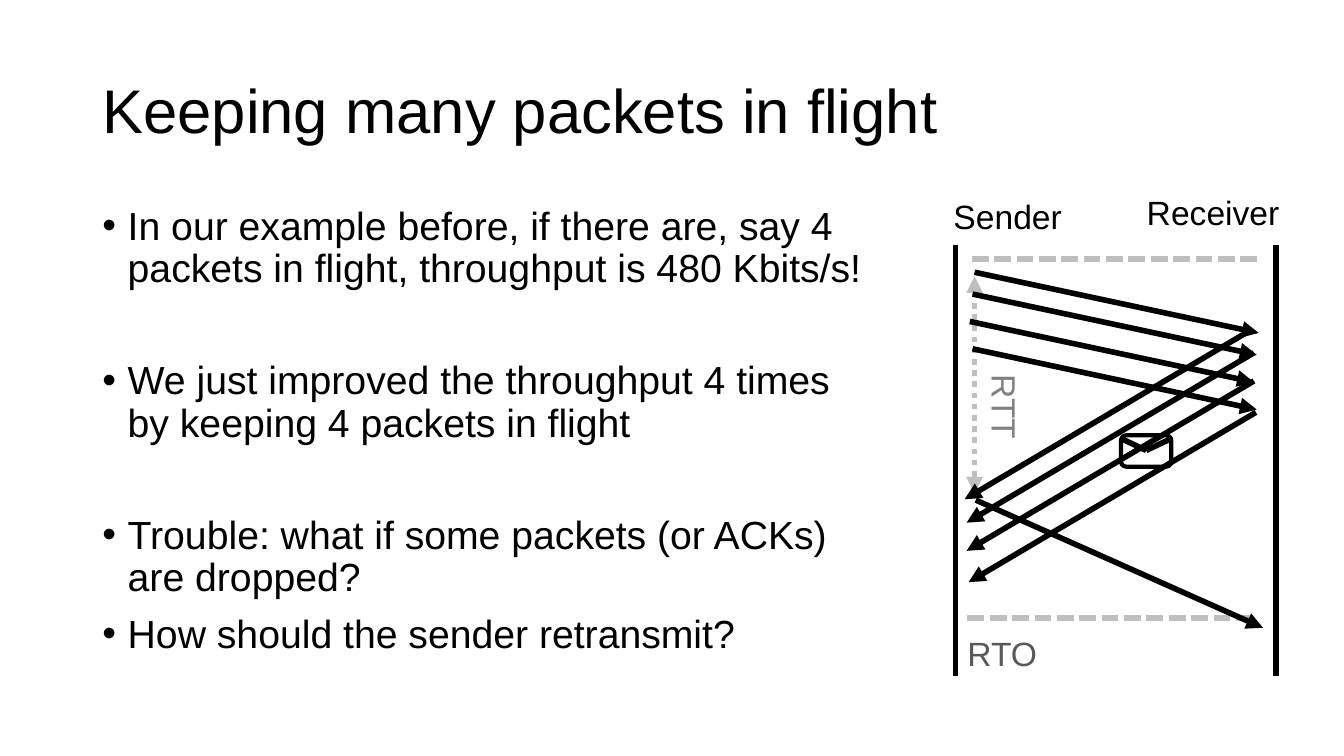
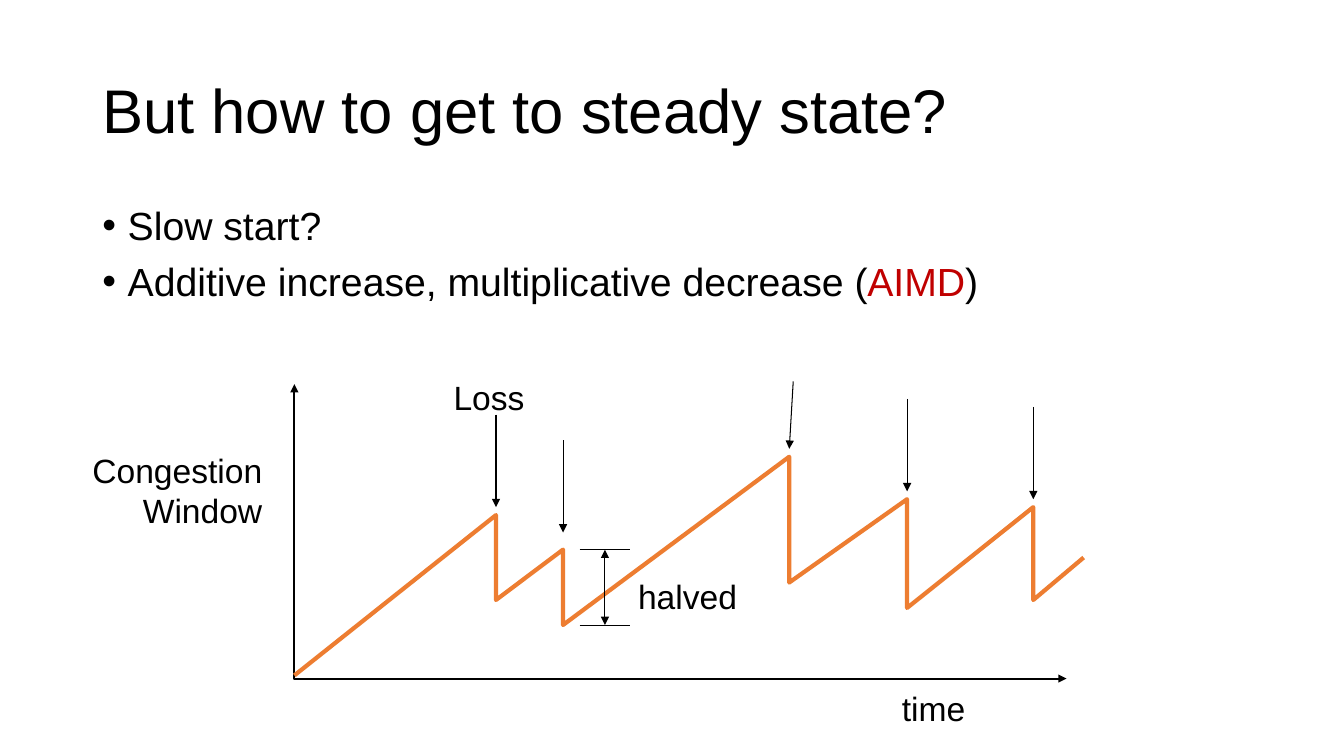
from collections import namedtuple
from dataclasses import dataclass

from lxml.etree import SubElement
from pptx import Presentation
from pptx.dml.color import RGBColor as Color
from pptx.enum.dml import MSO_LINE
from pptx.enum.shapes import MSO_CONNECTOR, MSO_SHAPE
from pptx.enum.text import MSO_ANCHOR as Anchor, PP_ALIGN as Align
from pptx.oxml.ns import qn
from pptx.util import Cm, Pt


@dataclass(frozen=True)
class Theme:
    font: str = "Arial"
    ink: str = "000000"
    guide: str = "BFBFBF"
    round_trip: str = "808080"
    timeout: str = "595959"
    accent: str = "C00000"
    curve: str = "ED7D31"
    title_size: int = 44
    body_size: int = 28
    label_size: int = 24
    heavy: float = 4
    medium: float = 3
    axis: float = 1.5
    thin: float = 0.75
    line_spacing: float = 0.9
    bullet_gap: int = 10
    wide_gap: int = 50
    bullet_indent: float = 0.64


THEME = Theme()


@dataclass(frozen=True)
class Box:
    """A region in centimetres."""
    left: float
    top: float
    width: float
    height: float

    def point(self, x, y):
        return Cm(self.left + x), Cm(self.top + y)

    def inner(self, x, y, width, height):
        return Box(self.left + x, self.top + y, width, height)

    @property
    def lengths(self):
        return [Cm(n) for n in (self.left, self.top, self.width, self.height)]


SLIDE = Box(0, 0, 33.87, 19.05)
TITLE = SLIDE.inner(2.33, 1.01, 29.21, 3.68)
NARROW_BODY = SLIDE.inner(2.33, 5.07, 20, 12.95)
WIDE_BODY = SLIDE.inner(2.33, 5.07, 29.21, 3.5)
TIMELINE = SLIDE.inner(24.08, 6.17, 8.08, 10.87)
WINDOW_PLOT = SLIDE.inner(7.42, 9.68, 19.46, 7.42)

Loss = namedtuple("Loss", "x peak trough clearance length lean",
                  defaults=(0.2, 2.33, 0))
LOSSES = [
    Loss(5.08, 3.3, 5.44),
    Loss(6.77, 4.17, 6.07, clearance=0.43),
    Loss(12.47, 1.83, 5, length=1.7, lean=0.1),
    Loss(15.44, 2.9, 5.64),
    Loss(18.62, 3.1, 5.44),
]


def apply(target, **values):
    for name, value in values.items():
        setattr(target, name, value)


def style_line(shape, color=THEME.ink, width=THEME.heavy, dash=None, arrows=()):
    """Set the outline; arrows holds 'head' and/or 'tail'."""
    shape.line.color.rgb = Color.from_string(color)
    apply(shape.line, width=Pt(width), dash_style=dash)
    outline = shape.element.spPr.find(qn("a:ln"))
    for end in arrows:
        SubElement(outline, qn(f"a:{end}End"), type="triangle")


def add_line(shapes, box, start, end, **style):
    connector = shapes.add_connector(
        MSO_CONNECTOR.STRAIGHT, *box.point(*start), *box.point(*end))
    style_line(connector, **style)
    SubElement(connector.element.spPr, qn("a:effectLst"))


def add_path(slide, box, points, **style):
    first, *rest = [box.point(*point) for point in points]
    builder = slide.shapes.build_freeform(*first)
    builder.add_line_segments(rest, close=False)
    shape = builder.convert_to_shape()
    shape.fill.background()
    shape.shadow.inherit = False
    style_line(shape, **style)


def add_run(paragraph, text, size, color=THEME.ink):
    run = paragraph.add_run()
    run.text = text
    apply(run.font, name=THEME.font, size=Pt(size))
    run.font.color.rgb = Color.from_string(color)


def add_frame(slide, box, anchor=Anchor.TOP):
    shape = slide.shapes.add_textbox(*box.lengths)
    apply(shape.text_frame, word_wrap=True, vertical_anchor=anchor)
    return shape


def add_label(slide, box, *lines, color=THEME.ink, align=Align.LEFT, rotation=0):
    shape = add_frame(slide, box)
    shape.rotation = rotation
    frame = shape.text_frame
    for index, line in enumerate(lines):
        paragraph = frame.add_paragraph() if index else frame.paragraphs[0]
        paragraph.alignment = align
        add_run(paragraph, line, THEME.label_size, color)


def add_title(slide, text):
    frame = add_frame(slide, TITLE, Anchor.MIDDLE).text_frame
    frame.paragraphs[0].line_spacing = THEME.line_spacing
    add_run(frame.paragraphs[0], text, THEME.title_size)


def add_bullets(slide, box, items):
    """Each item is the space before it, then (text, color) parts."""
    frame = add_frame(slide, box).text_frame
    for index, (gap, *parts) in enumerate(items):
        paragraph = frame.add_paragraph() if index else frame.paragraphs[0]
        properties = paragraph._p.get_or_add_pPr()
        indent = Cm(THEME.bullet_indent)
        properties.set("marL", str(indent))
        properties.set("indent", str(-indent))
        SubElement(properties, qn("a:buFont"), typeface=THEME.font)
        SubElement(properties, qn("a:buChar"), char="•")
        apply(paragraph, line_spacing=THEME.line_spacing, space_before=Pt(gap))
        for text, color in parts:
            add_run(paragraph, text, THEME.body_size, color)


def add_envelope(slide, box):
    shapes = slide.shapes.add_group_shape().shapes
    body = shapes.add_shape(MSO_SHAPE.ROUNDED_RECTANGLE, *box.lengths)
    body.fill.background()
    body.shadow.inherit = False
    style_line(body, width=THEME.medium)
    fold = (box.width / 2, 0.38)
    for corner in (0, box.width):
        add_line(shapes, box, (corner, 0.08), fold)


def add_timeline(slide, box):
    """Packets and acknowledgements between sender and receiver."""
    shapes = slide.shapes
    for x in (0, box.width):
        add_line(shapes, box, (x, 0), (x, box.height))
    for x, y in ((0.3, 9.4), (0.41, 0.36)):
        add_line(shapes, box, (x, y), (x + 7.24, y),
                 color=THEME.guide, dash=MSO_LINE.SQUARE_DOT)
    add_line(shapes, box, (0.48, 0.79), (0.48, 6.27), color=THEME.guide,
             dash=MSO_LINE.ROUND_DOT, arrows=("head", "tail"))

    packets = [(0.48, 0.69), (0.43, 1.24), (0.36, 1.93), (0.43, 2.62)]
    acks = [(7.47, 2.13), (7.52, 2.72), (7.52, 3.43), (7.57, 4.22)]
    retransmission = [(0.51, 6.43)]
    for starts, run, fall in ((packets, 7.16, 1.53), (acks, -7.24, 4.28),
                              (retransmission, 7.24, 3.22)):
        for x, y in starts:
            add_line(shapes, box, (x, y), (x + run, y + fall), arrows=("tail",))

    add_envelope(slide, box.inner(4.17, 4.8, 1.27, 0.79))
    add_label(slide, box.inner(-0.3, -1.37, 3.84, 1.27), "Sender")
    add_label(slide, box.inner(4.57, -1.47, 4.27, 1.27), "Receiver")
    add_label(slide, box.inner(-0.15, 3.78, 2.79, 1.27), "RTT",
              color=THEME.round_trip, rotation=90)
    add_label(slide, box.inner(0.05, 9.65, 2.79, 1.27), "RTO", color=THEME.timeout)


def add_window_plot(slide, box, losses):
    """Sawtooth of the congestion window over time."""
    shapes = slide.shapes
    add_path(slide, box, [(0, 0), (0, box.height), (box.width, box.height)],
             width=THEME.axis, arrows=("head", "tail"))
    teeth = [(loss.x, y) for loss in losses for y in (loss.peak, loss.trough)]
    add_path(slide, box, [(0, 7.34), *teeth, (19.89, 4.37)],
             color=THEME.curve, width=THEME.medium)
    for loss in losses:
        tip = loss.peak - loss.clearance
        add_line(shapes, box, (loss.x + loss.lean, tip - loss.length),
                 (loss.x, tip), width=THEME.thin, arrows=("tail",))

    halved = losses[1]
    left, right = 7.19, 8.46
    middle = (left + right) / 2
    for y in (halved.peak, halved.trough):
        add_line(shapes, box, (left, y), (right, y), width=THEME.thin)
    add_line(shapes, box, (middle, halved.peak), (middle, halved.trough),
             width=THEME.thin, arrows=("head", "tail"))

    add_label(slide, box.inner(-5.76, 1.52, 5.2, 2.31), "Congestion", "Window",
              align=Align.RIGHT)
    add_label(slide, box.inner(8.41, 4.7, 3.3, 1.27), "halved")
    add_label(slide, box.inner(3.76, -0.3, 2.6, 1.27), "Loss")
    add_label(slide, box.inner(15.06, 7.54, 2.4, 1.27), "time")


def add_slide(presentation, title):
    slide = presentation.slides.add_slide(presentation.slide_layouts[6])
    add_title(slide, title)
    return slide


def add_flight_slide(presentation):
    slide = add_slide(presentation, "Keeping many packets in flight")
    add_bullets(slide, NARROW_BODY, [
        (0, ("In our example before, if there are, say 4 packets in flight, "
             "throughput is 480 Kbits/s!", THEME.ink)),
        (THEME.wide_gap, ("We just improved the throughput 4 times by keeping "
                          "4 packets in flight", THEME.ink)),
        (THEME.wide_gap, ("Trouble: what if some packets (or ACKs) are dropped?",
                          THEME.ink)),
        (THEME.bullet_gap, ("How should the sender retransmit?", THEME.ink)),
    ])
    add_timeline(slide, TIMELINE)


def add_steady_state_slide(presentation):
    slide = add_slide(presentation, "But how to get to steady state?")
    add_bullets(slide, WIDE_BODY, [
        (0, ("Slow start?", THEME.ink)),
        (THEME.bullet_gap,
         ("Additive increase, multiplicative decrease (", THEME.ink),
         ("AIMD", THEME.accent), (")", THEME.ink)),
    ])
    add_window_plot(slide, WINDOW_PLOT, LOSSES)


def main():
    presentation = Presentation()
    apply(presentation, slide_width=Cm(SLIDE.width), slide_height=Cm(SLIDE.height))
    add_flight_slide(presentation)
    add_steady_state_slide(presentation)
    presentation.save("out.pptx")


if __name__ == "__main__":
    main()
